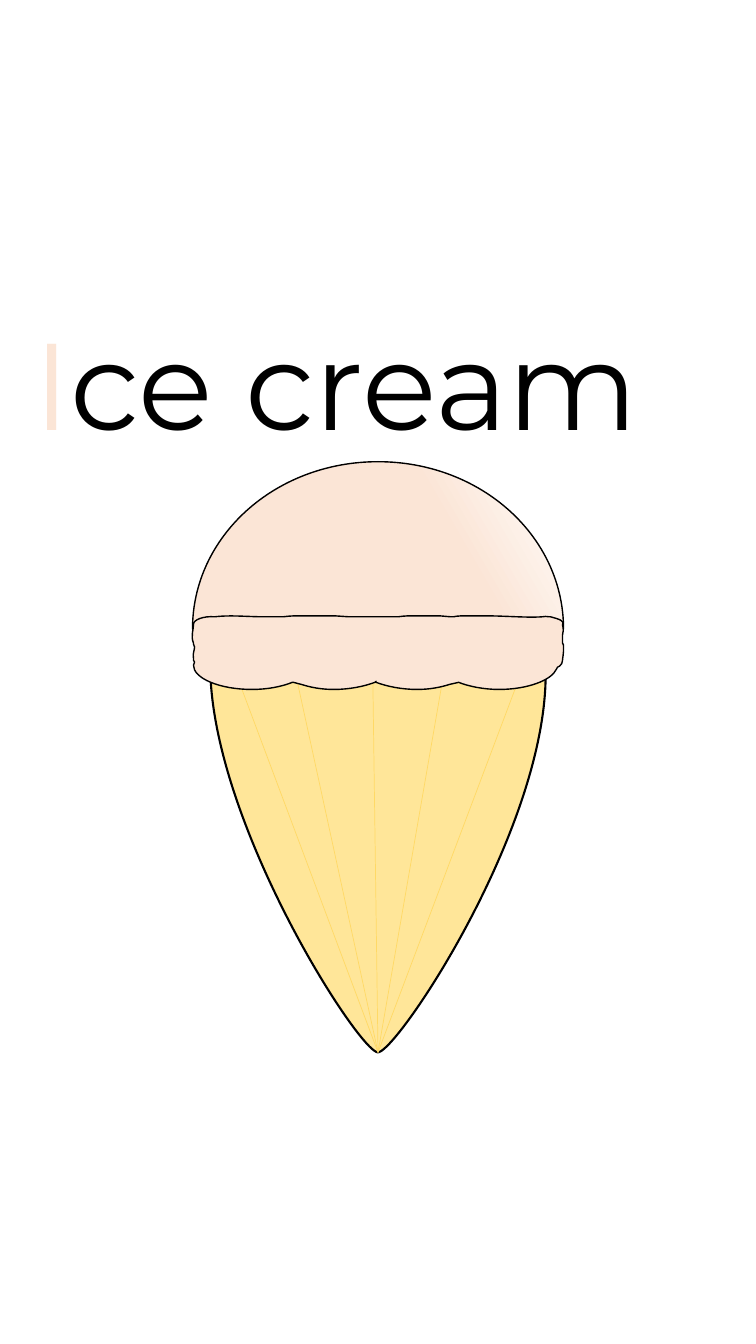
"""Builds a tall slide with an ice cream cone under its title."""
from dataclasses import dataclass

from lxml.etree import SubElement
from pptx import Presentation
from pptx.dml.color import RGBColor
from pptx.enum.shapes import MSO_CONNECTOR
from pptx.enum.text import MSO_ANCHOR, MSO_AUTO_SIZE, PP_ALIGN
from pptx.oxml import parse_xml
from pptx.oxml.ns import nsdecls, qn
from pptx.util import Pt


@dataclass(frozen=True)
class Theme:
    font: str = "Montserrat"
    title_size: float = 88
    ink: str = "000000"
    shine: str = "FFFFFF"
    cream: str = "FBE5D6"
    wafer: str = "FFE699"
    rib: str = "FFD966"
    letter_line: float = 0.75
    cone_line: float = 1.5
    cream_line: float = 1
    rib_line: float = 0.5


THEME = Theme()
SLIDE_SIZE = (540, 960)
TITLE_BOX = (16.56, 216, 523.44, 113.76)
INITIAL, REST = "I", "ce cream"

TIP = (270, 751.7)
RIB_TOP = 440.6
RIB_STARTS = [387.4, 324, 265.7, 202.3, 153.4]

# Boxes hold left, top, right, bottom; two numbers make a straight segment, six a curve.
CONE_BOX = (150.5, 373, 390.2, 751.7)
CONE = [
    TIP,
    (249.8, 751.7, 10.8, 365.8, 270, 373),
    (529.2, 380.9, 290.2, 751.7, 270, 751.7),
]
SCOOP_BOX = (137.5, 329.8, 402.5, 464.4)
SCOOP = [
    (137.5, 449.3),
    (137.5, 383, 196.6, 329.8, 270, 329.8),
    (343.4, 329.8, 402.5, 383, 402.5, 449.3),
    (380.2, 469.4, 159.8, 469.4, 137.5, 449.3),
]
DRIP_BOX = (137.5, 439.9, 402.5, 492.5)
DRIP = [
    (304.6, 439.9), (307.4, 439.9, 311, 439.9, 313.9, 439.9),
    (321.8, 440.6), (324, 440.6),
    (326.2, 439.9, 330.5, 439.9, 335.5, 439.9), (342, 439.9), (346.3, 439.9),
    (360.7, 439.9, 376.6, 441.4, 387.4, 440.6),
    (388.8, 439.9, 390.2, 440.6, 392.4, 440.6), (393.1, 440.6),
    (398.9, 442.1, 403.9, 443.5, 401.8, 446.4),
    (402.5, 449.3, 402.5, 451.4, 401.8, 453.6), (401.8, 459.4),
    (402.5, 460.1, 402.5, 460.8, 402.5, 462.2), (402.5, 465.1),
    (402.5, 467.3, 401.8, 470.2, 401.8, 471.6),
    (401.8, 473.8, 401, 474.5, 399.6, 475.9), (398.2, 476.6), (397.4, 478.1),
    (393.8, 486, 376.6, 492.5, 356.4, 492.5),
    (345.6, 492.5, 334.8, 490.3, 327.6, 487.4), (321.1, 488.9),
    (314.6, 491, 306.7, 492.5, 298.1, 492.5),
    (286.6, 492.5, 276.5, 490.3, 268.6, 487.4), (268.6, 486.7), (267.8, 487.4),
    (259.9, 490.3, 249.8, 492.5, 238.3, 492.5),
    (229.7, 492.5, 221.8, 491, 215.3, 488.9), (209.5, 487.4), (208.8, 487.4),
    (201.6, 490.3, 191.5, 492.5, 180, 492.5),
    (157, 492.5, 138.2, 484.6, 138.2, 475.2), (139, 473), (138.2, 471.6),
    (138.2, 470.9, 138.2, 470.2, 138.2, 470.2),
    (137.5, 466.6, 139, 464.4, 139, 462.2), (138.2, 460.1), (138.2, 459.4),
    (136.1, 454.3, 138.2, 450, 138.2, 446.4),
    (137.5, 442.8, 145.4, 439.9, 153.4, 440.6),
    (164.9, 439.2, 176.4, 440.6, 188.6, 440.6), (194.4, 440.6), (202.3, 440.6),
    (207.4, 439.9, 211, 439.9, 214.6, 439.9), (218.9, 439.9),
    (226.8, 439.9, 231.8, 439.9, 239, 439.9),
    (249.1, 440.6), (265.7, 440.6), (272.9, 440.6),
    (276.5, 440.6, 280.1, 440.6, 284.4, 440.6),
    (288.7, 439.9, 292.3, 439.9, 295.9, 439.9), (299.5, 439.9),
]
UNITS_PER_POINT = 100


def color(code):
    return RGBColor.from_string(code)


def units(*lengths):
    return [round(length * UNITS_PER_POINT) for length in lengths]


def draw_segment(trace, tag, segment, corner):
    command = SubElement(trace, qn(tag))
    for x, y in zip(segment[::2], segment[1::2]):
        left, top = units(x - corner[0], y - corner[1])
        SubElement(command, qn("a:pt"), x=str(left), y=str(top))


def add_outline(group, box, outline, line_width):
    left, top, right, bottom = units(*box)
    builder = group.shapes.build_freeform(left, top, scale=Pt(1) / UNITS_PER_POINT)
    builder.add_line_segments([(right, top), (right, bottom), (left, bottom)])
    part = builder.convert_to_shape()
    trace = next(part._element.iter(qn("a:path")))
    for command in list(trace):
        trace.remove(command)
    draw_segment(trace, "a:moveTo", outline[0], box)
    for segment in outline[1:]:
        tag = "a:lnTo" if len(segment) == 2 else "a:cubicBezTo"
        draw_segment(trace, tag, segment, box)
    SubElement(trace, qn("a:close"))
    part.shadow.inherit = False
    part.line.color.rgb = color(THEME.ink)
    part.line.width = Pt(line_width)
    return part


def fill_solid(part, code):
    part.fill.solid()
    part.fill.fore_color.rgb = color(code)


def fill_shine(scoop):
    scoop.fill.gradient()
    scoop.fill.gradient_angle = 210
    stops = zip(scoop.fill.gradient_stops, ((0, THEME.shine), (0.32, THEME.cream)))
    for stop, (position, code) in stops:
        stop.position = position
        stop.color.rgb = color(code)


def add_rib(group, start_x):
    rib = group.shapes.add_connector(
        MSO_CONNECTOR.STRAIGHT, Pt(start_x), Pt(RIB_TOP), Pt(TIP[0]), Pt(TIP[1]))
    rib.line.color.rgb = color(THEME.rib)
    rib.line.width = Pt(THEME.rib_line)
    SubElement(rib._element.spPr, qn("a:effectLst"))


def write_title(title):
    title.left, title.top, title.width, title.height = map(Pt, TITLE_BOX)
    frame = title.text_frame
    frame.word_wrap = True
    frame.auto_size = MSO_AUTO_SIZE.SHAPE_TO_FIT_TEXT
    frame.vertical_anchor = MSO_ANCHOR.TOP
    paragraph = frame.paragraphs[0]
    paragraph.alignment = PP_ALIGN.LEFT
    for words, code in ((INITIAL, THEME.cream), (REST, THEME.ink)):
        run = paragraph.add_run()
        run.text = words
        run.font.name = THEME.font
        run.font.size = Pt(THEME.title_size)
        run.font.color.rgb = color(code)
        edge = parse_xml(
            f'<a:ln {nsdecls("a")} w="{Pt(THEME.letter_line)}"><a:solidFill>'
            f'<a:srgbClr val="{THEME.ink}"/></a:solidFill></a:ln>')
        run.font._element.insert(0, edge)


def main():
    deck = Presentation()
    deck.slide_width, deck.slide_height = map(Pt, SLIDE_SIZE)
    slide = deck.slides.add_slide(deck.slide_layouts[5])
    write_title(slide.shapes.title)

    ice_cream = slide.shapes.add_group_shape()
    fill_solid(add_outline(ice_cream, CONE_BOX, CONE, THEME.cone_line), THEME.wafer)
    fill_shine(add_outline(ice_cream, SCOOP_BOX, SCOOP, THEME.cream_line))
    for start_x in RIB_STARTS:
        add_rib(ice_cream, start_x)
    fill_solid(add_outline(ice_cream, DRIP_BOX, DRIP, THEME.cream_line), THEME.cream)
    deck.save("out.pptx")


if __name__ == "__main__":
    main()
